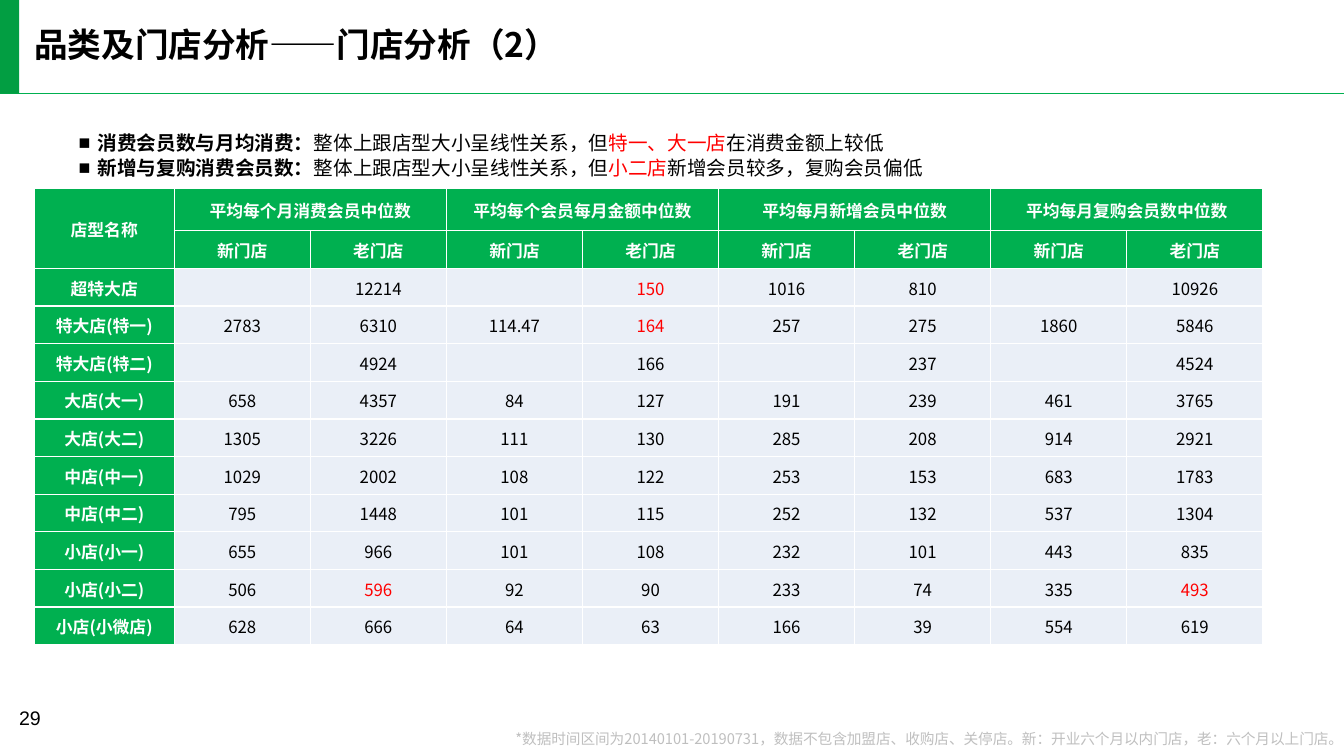
"""Build the store analysis slide: title, two findings, store table and footnote."""
from lxml import etree
from pptx import Presentation
from pptx.dml.color import RGBColor
from pptx.enum.shapes import MSO_CONNECTOR, MSO_SHAPE
from pptx.enum.text import MSO_ANCHOR, MSO_AUTO_SIZE, PP_ALIGN
from pptx.oxml.ns import qn
from pptx.util import Pt

TOP, MIDDLE = MSO_ANCHOR.TOP, MSO_ANCHOR.MIDDLE
LEFT, CENTER, RIGHT = PP_ALIGN.LEFT, PP_ALIGN.CENTER, PP_ALIGN.RIGHT
FIXED = MSO_AUTO_SIZE.NONE
CJK = "Noto Sans CJK SC"
COLORS = {
    "black": "000000", "white": "FFFFFF", "red": "FF0000", "grey": "BFBFBF",
    "green": "00B050", "bar": "029E42", "pale": "EAEFF7",
}


def add_run(paragraph, text, size, color="black", bold=False, name=CJK):
    run = paragraph.add_run()
    run.text = text
    for attribute, value in {"size": Pt(size), "bold": bold, "name": name}.items():
        setattr(run.font, attribute, value)
    run.font.color.rgb = RGBColor.from_string(COLORS[color])
    etree.SubElement(run.font._element, qn("a:ea"), typeface=name)


def format_frame(frame, anchor=TOP, wrap=True):
    settings = {
        "margin_left": 0, "margin_right": 0, "margin_top": 0, "margin_bottom": 0,
        "vertical_anchor": anchor, "word_wrap": wrap, "auto_size": FIXED,
    }
    for attribute, value in settings.items():
        setattr(frame, attribute, value)


prs = Presentation()
prs.slide_width, prs.slide_height = Pt(960), Pt(540)
slide = prs.slides.add_slide(prs.slide_layouts[5])
shapes = slide.shapes

header_rule = shapes.add_connector(MSO_CONNECTOR.STRAIGHT, 0, Pt(67), Pt(960), Pt(67))
header_rule.line.width = Pt(1)
header_rule.line.color.rgb = RGBColor.from_string(COLORS["green"])
etree.SubElement(header_rule._element.spPr, qn("a:effectLst"))

title = shapes.title
title.left, title.top, title.width, title.height = Pt(24.5), Pt(20.2), Pt(453), Pt(26)
format_frame(title.text_frame)
heading = title.text_frame.paragraphs[0]
heading.alignment, heading.line_spacing = LEFT, 0.9
add_run(heading, "品类及门店分析——门店分析（2）", 24, bold=True)

header_bar = shapes.add_shape(MSO_SHAPE.RECTANGLE, 0, Pt(-0.5), Pt(13.7), Pt(67.5))
header_bar.shadow.inherit = False
header_bar.fill.solid()
header_bar.fill.fore_color.rgb = RGBColor.from_string(COLORS["bar"])
header_bar.line.fill.background()

page_number = shapes.add_textbox(Pt(6.5), Pt(500.4), Pt(65.5), Pt(28.8)).text_frame
page_number.word_wrap = True
add_run(page_number.paragraphs[0], "29", 14, name="Arial")

findings = [
    ("消费会员数与月均消费：", "整体上跟店型大小呈线性关系，但", "特一、大一店", "在消费金额上较低"),
    ("新增与复购消费会员数：", "整体上跟店型大小呈线性关系，但", "小二店", "新增会员较多，复购会员偏低"),
]
findings_frame = shapes.add_textbox(Pt(56.2), Pt(92.2), Pt(835), Pt(36)).text_frame
format_frame(findings_frame, MIDDLE)
for index, (topic, trend, exception, result) in enumerate(findings):
    finding = findings_frame.add_paragraph() if index else findings_frame.paragraphs[0]
    properties = finding._p.get_or_add_pPr()
    properties.set("marL", str(Pt(13.5)))
    properties.set("indent", str(-Pt(13.5)))
    etree.SubElement(properties, qn("a:buFont"), typeface="Arial")
    etree.SubElement(properties, qn("a:buChar"), char="■")
    finding.line_spacing = Pt(18)
    add_run(finding, topic, 14, bold=True)
    add_run(finding, trend, 14)
    add_run(finding, exception, 14, "red")
    add_run(finding, result, 14)

footnote_frame = shapes.add_textbox(Pt(353.5), Pt(522.7), Pt(606.5), Pt(11.5)).text_frame
format_frame(footnote_frame, wrap=False)
footnote = footnote_frame.paragraphs[0]
footnote.alignment, footnote.line_spacing = RIGHT, 0.9
add_run(footnote, "*数据时间区间为20140101-20190731，数据不包含加盟店、收购店、关停店。"
        "新：开业六个月以内门店，老：六个月以上门店。", 10.5, "grey")

measures = ["平均每个月消费会员中位数", "平均每个会员每月金额中位数",
            "平均每月新增会员中位数", "平均每月复购会员数中位数"]
stores = [
    ["超特大店", "", "12214", "", "150", "1016", "810", "", "10926"],
    ["特大店(特一)", "2783", "6310", "114.47", "164", "257", "275", "1860", "5846"],
    ["特大店(特二)", "", "4924", "", "166", "", "237", "", "4524"],
    ["大店(大一)", "658", "4357", "84", "127", "191", "239", "461", "3765"],
    ["大店(大二)", "1305", "3226", "111", "130", "285", "208", "914", "2921"],
    ["中店(中一)", "1029", "2002", "108", "122", "253", "153", "683", "1783"],
    ["中店(中二)", "795", "1448", "101", "115", "252", "132", "537", "1304"],
    ["小店(小一)", "655", "966", "101", "108", "232", "101", "443", "835"],
    ["小店(小二)", "506", "596", "92", "90", "233", "74", "335", "493"],
    ["小店(小微店)", "628", "666", "64", "63", "166", "39", "554", "619"],
]
outliers = {(2, 4), (3, 4), (10, 2), (10, 8)}
measure_row = ["店型名称"]
for measure in measures:
    measure_row += [measure, ""]
rows = [measure_row, [""] + ["新门店", "老门店"] * len(measures)] + stores

table = shapes.add_table(len(rows), 9, Pt(24.5), Pt(134.7), Pt(877.6), Pt(326.1)).table
table.first_row = table.horz_banding = False
for index, column in enumerate(table.columns):
    column.width = Pt(97.2 if index else 100)
for index, row in enumerate(table.rows):
    row.height = Pt(26.9 if index else 30.2)

cell_format = {
    "margin_left": Pt(0.72), "margin_right": Pt(0.72), "margin_top": Pt(0.72),
    "margin_bottom": 0, "vertical_anchor": MIDDLE,
}
for r, values in enumerate(rows):
    for c, value in enumerate(values):
        cell = table.cell(r, c)
        for attribute, setting in cell_format.items():
            setattr(cell, attribute, setting)
        for side in ("a:lnL", "a:lnR", "a:lnT", "a:lnB"):
            border = etree.SubElement(cell._tc.tcPr, qn(side), w=str(Pt(1)))
            border_fill = etree.SubElement(border, qn("a:solidFill"))
            etree.SubElement(border_fill, qn("a:srgbClr"), val=COLORS["white"])
        is_header = r < 2 or c == 0
        cell.fill.solid()
        cell.fill.fore_color.rgb = RGBColor.from_string(COLORS["green" if is_header else "pale"])
        label = cell.text_frame.paragraphs[0]
        label.alignment = CENTER
        color = "white" if is_header else "red" if (r, c) in outliers else "black"
        add_run(label, value, 12, color, is_header)

table.cell(0, 0).merge(table.cell(1, 0))
for c in range(1, 9, 2):
    table.cell(0, c).merge(table.cell(0, c + 1))

prs.save("out.pptx")
